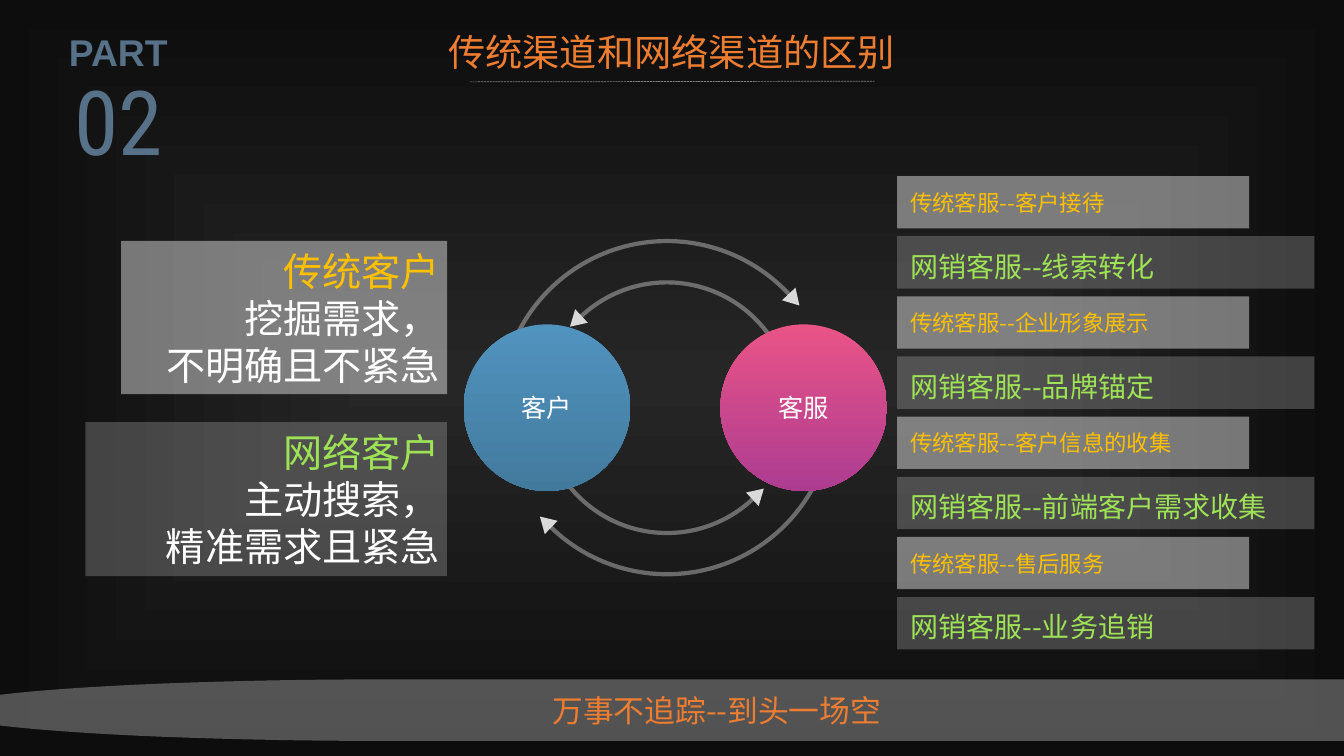
from math import cos, pi, radians, sin

from lxml.etree import SubElement
from pptx import Presentation
from pptx.dml.color import RGBColor
from pptx.enum.dml import MSO_LINE
from pptx.enum.lang import MSO_LANGUAGE_ID
from pptx.enum.shapes import MSO_CONNECTOR, MSO_SHAPE
from pptx.enum.text import MSO_ANCHOR, MSO_AUTO_SIZE, PP_ALIGN
from pptx.oxml.ns import qn
from pptx.util import Pt

DARK = RGBColor(0x0D, 0x0D, 0x0D)
COAL = RGBColor(0x26, 0x26, 0x26)
ORANGE = RGBColor(0xED, 0x7D, 0x31)
SLATE = RGBColor(0x57, 0x71, 0x88)
GOLD = RGBColor(0xFF, 0xC0, 0x00)
GREEN = RGBColor(0x9E, 0xE2, 0x56)
WHITE = RGBColor(0xFF, 0xFF, 0xFF)
PALE = RGBColor(0xF2, 0xF2, 0xF2)
SILVER = RGBColor(0xD8, 0xD8, 0xD8)
ARROW = RGBColor(0xD9, 0xD9, 0xD9)
GREY = RGBColor(0x80, 0x80, 0x80)
BLUES = RGBColor(0x51, 0x93, 0xBF), RGBColor(0x42, 0x7A, 0x9D)
PINKS = RGBColor(0xE9, 0x54, 0x87), RGBColor(0xAD, 0x3C, 0x91)
HAN = "Noto Sans CJK SC"


# Shared helpers
def fade(shape, share):
    for node in shape.element.spPr.iter(qn("a:srgbClr")):
        SubElement(node, qn("a:alpha")).set("val", str(share * 1000))


def blend(fill, pair):
    fill.gradient()
    for stop, tone in zip(fill.gradient_stops, pair):
        stop.color.rgb = tone


def paint(shape, tone, share=100):
    shape.shadow.inherit = False
    shape.line.fill.background()
    shape.fill.solid()
    shape.fill.fore_color.rgb = tone
    if share < 100:
        fade(shape, share)


def write(shape, lines, size, align, face=HAN, bold=False,
          pad=(9.6, 4.8, 9.6, 4.8), anchor=MSO_ANCHOR.TOP):
    frame = shape.text_frame
    frame.word_wrap = True
    frame.auto_size = MSO_AUTO_SIZE.NONE
    frame.vertical_anchor = anchor
    (frame.margin_left, frame.margin_top,
     frame.margin_right, frame.margin_bottom) = map(Pt, pad)
    for i, (text, tone) in enumerate(lines):
        para = frame.add_paragraph() if i else frame.paragraphs[0]
        para.alignment = align
        run = para.add_run()
        run.text = text
        font = run.font
        font.size, font.bold, font.name = Pt(size), bold, face
        font.color.rgb = tone
        font.language_id = MSO_LANGUAGE_ID.SIMPLIFIED_CHINESE
        far = SubElement(run.font._element, qn("a:ea"))
        far.set("typeface", HAN)


def outline(slide, dots):
    dots = [(Pt(x), Pt(y)) for x, y in dots]
    pen = slide.shapes.build_freeform(*dots[0])
    pen.add_line_segments(dots[1:], close=True)
    return pen.convert_to_shape()


# Background glow from the middle
def backdrop(slide):
    blend(slide.background.fill, (COAL, DARK))
    line = slide.element.find(".//" + qn("a:lin"))
    grad = line.getparent()
    grad.remove(line)
    glow = SubElement(grad, qn("a:path"))
    glow.set("path", "shape")
    rect = SubElement(glow, qn("a:fillToRect"))
    for side in "ltrb":
        rect.set(side, "50000")


# Title with dashed rule
def header(slide, x, y, w, h):
    title = slide.shapes.title
    title.left, title.top, title.width, title.height = map(Pt, (x, y, w, h))
    write(title, [("传统渠道和网络渠道的区别", ORANGE)], 26.6,
          PP_ALIGN.CENTER, "Arial")
    rule = slide.shapes.add_connector(
        MSO_CONNECTOR.STRAIGHT, Pt(x + 39), Pt(y + h + 0.5),
        Pt(x + w - 39), Pt(y + h))
    rule.line.color.rgb = GREY
    rule.line.width = Pt(0.5)
    rule.line.dash_style = MSO_LINE.SQUARE_DOT
    SubElement(rule.element.spPr, qn("a:effectLst"))


# Part number
def badge(slide, x, y, w):
    for text, dy, h, size, face, bold in (
            ("PART", 0, 42, 26.6, "Arial", True),
            ("02", 26, 87, 64, "Roboto Condensed", False)):
        box = slide.shapes.add_textbox(Pt(x), Pt(y + dy), Pt(w), Pt(h))
        write(box, [(text, SLATE)], size, PP_ALIGN.CENTER, face, bold)


# Customer type panel
def panel(slide, x, y, w, h, lines, tone, share):
    box = slide.shapes.add_shape(
        MSO_SHAPE.RECTANGLE, Pt(x), Pt(y), Pt(w), Pt(h))
    paint(box, tone, share)
    write(box, lines, 28, PP_ALIGN.RIGHT, pad=(5, 3, 5, 3),
          anchor=MSO_ANCHOR.MIDDLE)


# One curved arrow; turn is 1 for clockwise, -1 for the other way
def sweep(slide, cx, cy, r, start, end, turn):
    arc = slide.shapes.add_shape(
        MSO_SHAPE.ARC, Pt(cx - r), Pt(cy - r), Pt(2 * r), Pt(2 * r))
    arc.adjustments[0], arc.adjustments[1] = start * 0.6, end * 0.6
    arc.shadow.inherit = False
    arc.fill.background()
    arc.line.color.rgb = ARROW
    arc.line.width = Pt(3)
    fade(arc, 42)
    a = radians((end if turn > 0 else start) - 2 * turn)
    ux, uy = cos(a), sin(a)
    mx, my = cx + r * ux, cy + r * uy
    half, long = 6.6, 11.2 * turn
    paint(outline(slide, [
        (mx + half * ux, my + half * uy),
        (mx - half * ux, my - half * uy),
        (mx - long * uy, my + long * ux)]), ARROW)


# Two discs joined by four curved arrows
def cycle(slide, x, y, w, h):
    cx, cy = x + w / 2 - 6, y + h / 2
    for r, start, end, turn in ((119, 180, 319, 1), (89.5, 45, 184, -1),
                                (89.5, 225, 360, -1), (119, 0, 136, 1)):
        sweep(slide, cx, cy, r, start, end, turn)
    size = 119
    for text, pair, left in (("客服", PINKS, x + w - size),
                             ("客户", BLUES, x)):
        disc = slide.shapes.add_shape(
            MSO_SHAPE.OVAL, Pt(left), Pt(cy - size / 2), Pt(size), Pt(size))
        paint(disc, pair[0])
        blend(disc.fill, pair)
        disc.fill.gradient_angle = 270
        write(disc, [(text, WHITE)], 18, PP_ALIGN.CENTER, "Arial",
              anchor=MSO_ANCHOR.MIDDLE)


# Service duties, old and online in turn
def duties(slide, x, y, w, step):
    pairs = (("客户接待", "线索转化"), ("企业形象展示", "品牌锚定"),
             ("客户信息的收集", "前端客户需求收集"), ("售后服务", "业务追销"))
    kinds = (("传统客服--", GOLD, 16, w - 46.5, PALE, 45, 3),
             ("网销客服--", GREEN, 20, w, SILVER, 25, 8))
    for i, pair in enumerate(pairs):
        for j, (lead, tone, size, wide, back, share, top) in enumerate(kinds):
            bar = slide.shapes.add_shape(
                MSO_SHAPE.RECTANGLE, Pt(x), Pt(y + (2 * i + j) * step),
                Pt(wide), Pt(37.4))
            paint(bar, back, share)
            write(bar, [(lead + pair[j], tone)], size, PP_ALIGN.LEFT,
                  pad=(9.4, top, 5, 3), anchor=MSO_ANCHOR.MIDDLE)


# Bottom band with a rounded left end
def footer(slide, x, y, w, h):
    rx, ry, n = 319, h / 2, 48
    bend = [(x + rx - rx * sin(pi * i / n), y + ry + ry * cos(pi * i / n))
            for i in range(n + 1)]
    band = outline(slide, bend + [(x + w, y), (x + w, y + h)])
    paint(band, PALE, 30)
    box = slide.shapes.add_textbox(Pt(65.5), Pt(y + 5), Pt(893), Pt(34))
    write(box, [("万事不追踪--到头一场空", ORANGE)], 22, PP_ALIGN.CENTER,
          pad=(7.2, 3.6, 7.2, 3.6))


def main():
    deck = Presentation()
    deck.slide_width, deck.slide_height = Pt(960), Pt(540)
    slide = deck.slides.add_slide(deck.slide_layouts[5])
    backdrop(slide)
    header(slide, 296.5, 16, 367, 42)
    badge(slide, 8.5, 16.5, 152)
    panel(slide, 86.5, 172, 232.8, 109.5,
          [("传统客户", GOLD), ("挖掘需求，", WHITE),
           ("不明确且不紧急", WHITE)], PALE, 45)
    panel(slide, 61, 301.5, 258.3, 110,
          [("网络客户", GREEN), ("主动搜索，", WHITE),
           ("精准需求且紧急", WHITE)], SILVER, 25)
    cycle(slide, 331.2, 172, 302.4, 238.4)
    duties(slide, 640.8, 125.8, 298, 42.95)
    footer(slide, -42.5, 485.3, 1002.5, 44)
    deck.save("out.pptx")


if __name__ == "__main__":
    main()
